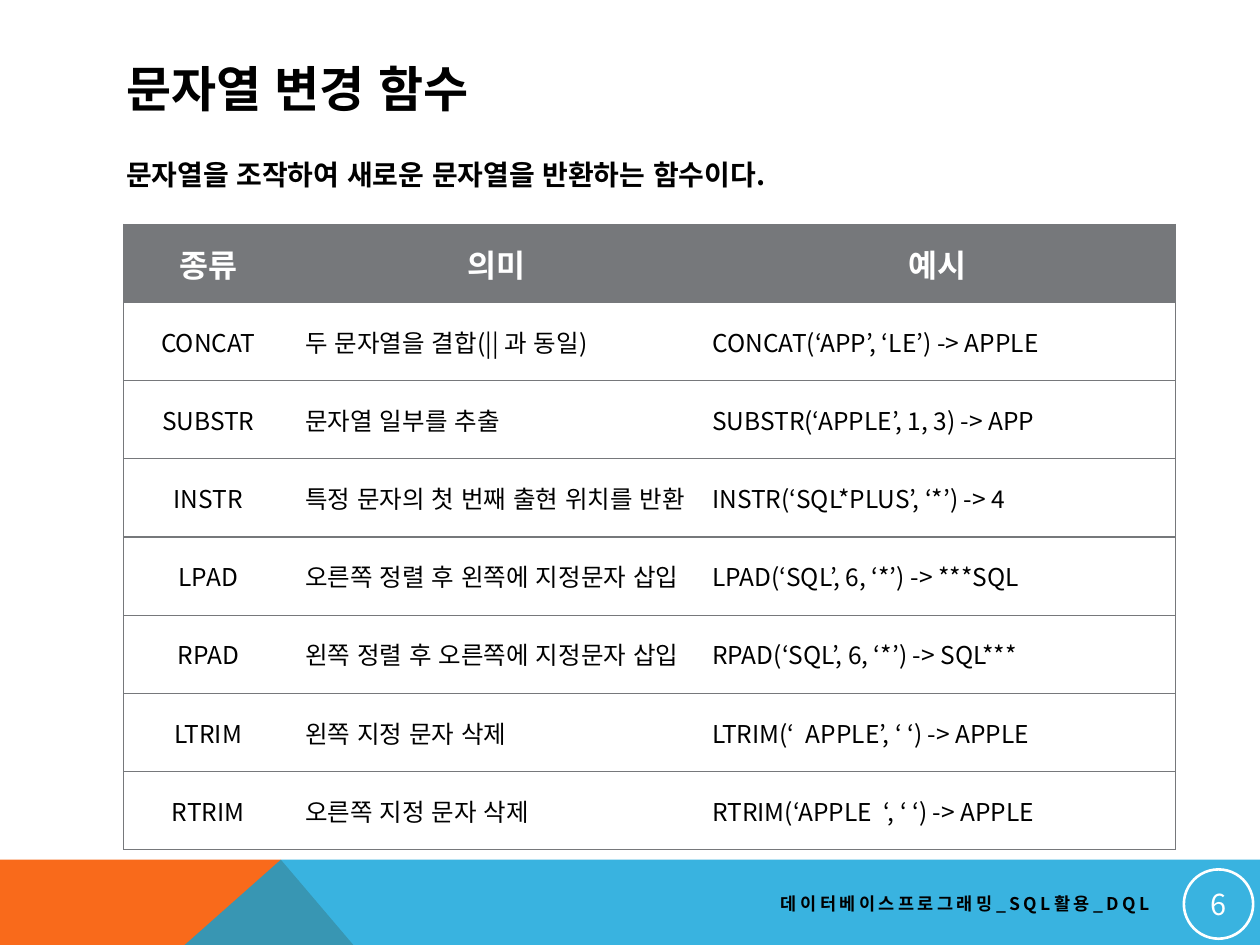
from lxml.etree import SubElement
from pptx import Presentation
from pptx.dml.color import RGBColor
from pptx.enum.lang import MSO_LANGUAGE_ID as LANG
from pptx.enum.shapes import MSO_SHAPE as SHAPE
from pptx.enum.text import MSO_ANCHOR as ANCHOR, PP_ALIGN as ALIGN
from pptx.oxml.ns import qn
from pptx.util import Pt

FONT = "Noto Sans CJK KR"
BLACK = RGBColor(0x00, 0x00, 0x00)
WHITE = RGBColor(0xFF, 0xFF, 0xFF)
GRAY = RGBColor(0x76, 0x78, 0x7B)
ORANGE = RGBColor(0xF9, 0x6A, 0x1B)
BLUE = RGBColor(0x08, 0xA1, 0xD9)

WIDTH, HEIGHT = 720, 540
BAND_TOP, BAND_BOTTOM = 491.3, 633.6  # the bands bleed over the lower edge
COLUMNS = (96.5, 232.5, 272)
ROW_HEIGHT = 44.65
ROWS = (
    ("종류", "의미", "예시"),
    ("CONCAT", "두 문자열을 결합(|| 과 동일)", "CONCAT(‘APP’, ‘LE’) -> APPLE"),
    ("SUBSTR", "문자열 일부를 추출", "SUBSTR(‘APPLE’, 1, 3) -> APP"),
    ("INSTR", "특정 문자의 첫 번째 출현 위치를 반환", "INSTR(‘SQL*PLUS’, ‘*’) -> 4"),
    ("LPAD", "오른쪽 정렬 후 왼쪽에 지정문자 삽입", "LPAD(‘SQL’, 6, ‘*’) -> ***SQL"),
    ("RPAD", "왼쪽 정렬 후 오른쪽에 지정문자 삽입", "RPAD(‘SQL’, 6, ‘*’) -> SQL***"),
    ("LTRIM", "왼쪽 지정 문자 삭제", "LTRIM(‘  APPLE’, ‘ ‘) -> APPLE"),
    ("RTRIM", "오른쪽 지정 문자 삭제", "RTRIM(‘APPLE  ‘, ‘ ‘) -> APPLE"),
)


def write(tf, text, size, color=BLACK, bold=False, align=ALIGN.LEFT, spacing=0):
    """Fill a text frame with one formatted paragraph; spacing is in points."""
    p = tf.paragraphs[0]
    p.alignment = align
    r = p.add_run()
    r.text = text
    r.font.size = Pt(size)
    r.font.bold = bold
    r.font.color.rgb = color
    r.font.name = FONT
    r.font.language_id = LANG.KOREAN
    rPr = r.font._element
    SubElement(rPr, qn("a:ea")).set("typeface", FONT)
    if spacing:
        rPr.set("spc", str(spacing * 100))


def add_text(s, box, text, size, anchor=ANCHOR.MIDDLE, **style):
    tf = s.shapes.add_textbox(*map(Pt, box)).text_frame
    tf.word_wrap = True
    tf.vertical_anchor = anchor
    write(tf, text, size, **style)


def add_band(s, points, color, opacity=100):
    start, *rest = [(Pt(x), Pt(y)) for x, y in points]
    builder = s.shapes.build_freeform(*start)
    builder.add_line_segments(rest)
    sp = builder.convert_to_shape()
    sp.shadow.inherit = False
    sp.line.fill.background()
    sp.fill.solid()
    sp.fill.fore_color.rgb = color
    if opacity < 100:
        clr = sp._element.spPr.find(f".//{qn('a:srgbClr')}")
        SubElement(clr, qn("a:alpha")).set("val", str(opacity * 1000))


def add_page_number(s, number):
    sp = s.shapes.add_shape(SHAPE.OVAL, Pt(676.5), Pt(496.8), Pt(39.6), Pt(39.6))
    sp.shadow.inherit = False
    sp.fill.background()
    sp.line.color.rgb = WHITE
    sp.line.width = Pt(1.5)
    tf = sp.text_frame
    tf.margin_left = tf.margin_right = tf.margin_top = tf.margin_bottom = Pt(0.72)
    tf.vertical_anchor = ANCHOR.MIDDLE
    write(tf, number, 16.5, color=WHITE, align=ALIGN.CENTER)


def set_borders(cell, drawn):
    """Draw the sides named in drawn and clear the others."""
    tcPr = cell._tc.get_or_add_tcPr()
    for side in "LRTB":
        ln = SubElement(tcPr, qn(f"a:ln{side}"), w=str(Pt(0.75)))
        if side in drawn:
            fill = SubElement(ln, qn("a:solidFill"))
            SubElement(fill, qn("a:srgbClr"), val=str(GRAY))
        else:
            SubElement(ln, qn("a:noFill"))


def add_function_table(s):
    frame = s.shapes.add_table(len(ROWS), len(COLUMNS), Pt(70.8), Pt(128.25),
                               Pt(sum(COLUMNS)), Pt(ROW_HEIGHT * len(ROWS)))
    table = frame.table
    for column, width in zip(table.columns, COLUMNS):
        column.width = Pt(width)
    outer_sides = ("LTB", "TB", "RTB")
    for i, row in enumerate(ROWS):
        table.rows[i].height = Pt(ROW_HEIGHT)
        header = i == 0
        for j, text in enumerate(row):
            cell = table.cell(i, j)
            set_borders(cell, outer_sides[j])
            cell.fill.solid()
            cell.fill.fore_color.rgb = GRAY if header else WHITE
            cell.vertical_anchor = ANCHOR.MIDDLE
            write(cell.text_frame, text, 18 if header else 14,
                  color=WHITE if header else BLACK, bold=header,
                  align=ALIGN.CENTER if header or j == 0 else ALIGN.LEFT)


def main():
    prs = Presentation()
    prs.slide_width, prs.slide_height = Pt(WIDTH), Pt(HEIGHT)
    s = prs.slides.add_slide(prs.slide_layouts[6])

    peak = (160.5, BAND_TOP)
    bottom_left = (0, BAND_BOTTOM)
    add_band(s, [bottom_left, (0, BAND_TOP), peak, (281.5, BAND_BOTTOM)], ORANGE)
    add_band(s, [bottom_left, peak, (WIDTH, BAND_TOP), (WIDTH, BAND_BOTTOM)],
             BLUE, opacity=80)

    add_text(s, (65, 29, 592, 43), "문자열 변경 함수", 28, bold=True)
    add_text(s, (65, 86.5, 592, 87), "문자열을 조작하여 새로운 문자열을 반환하는 함수이다.",
             16, anchor=ANCHOR.TOP, bold=True)
    add_text(s, (292.2, 505.5, 372, 21.5), "데이터베이스프로그래밍_SQL활용_DQL",
             10, bold=True, align=ALIGN.RIGHT, spacing=2)
    add_page_number(s, "6")
    add_function_table(s)
    prs.save("out.pptx")


if __name__ == "__main__":
    main()
